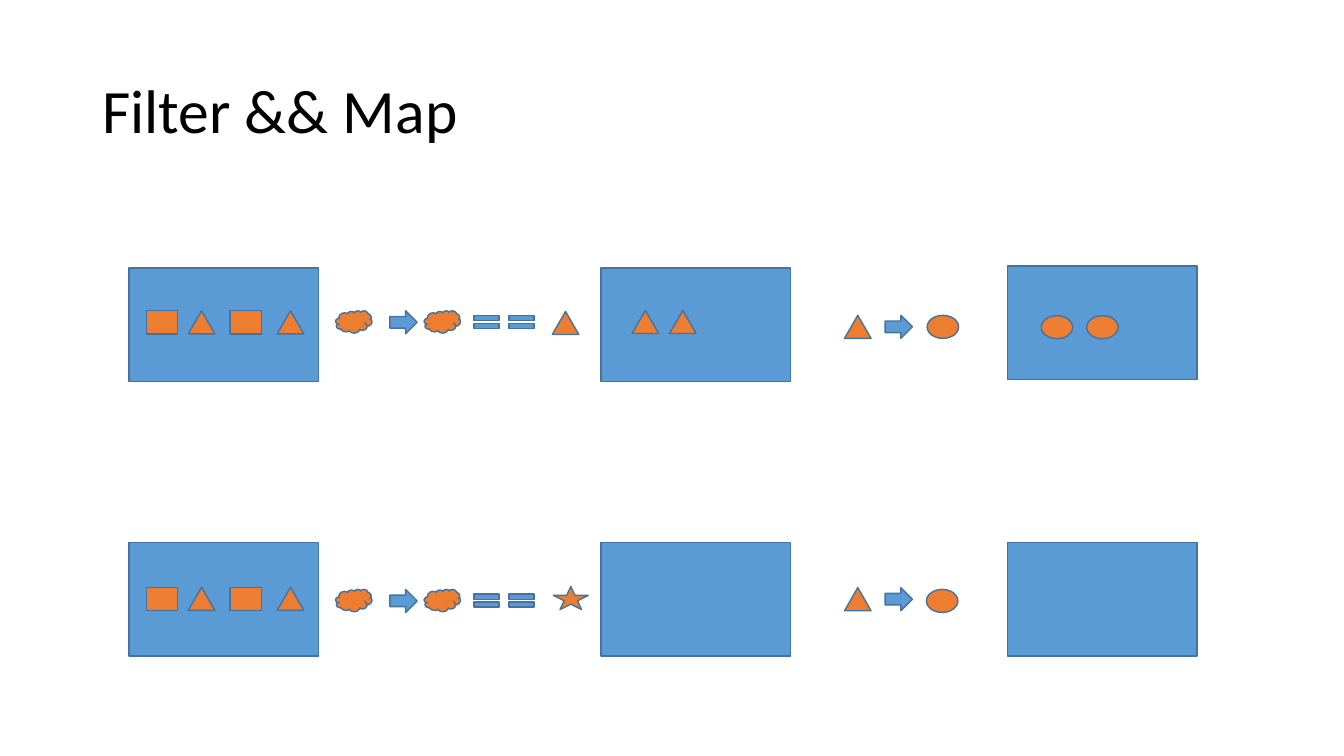
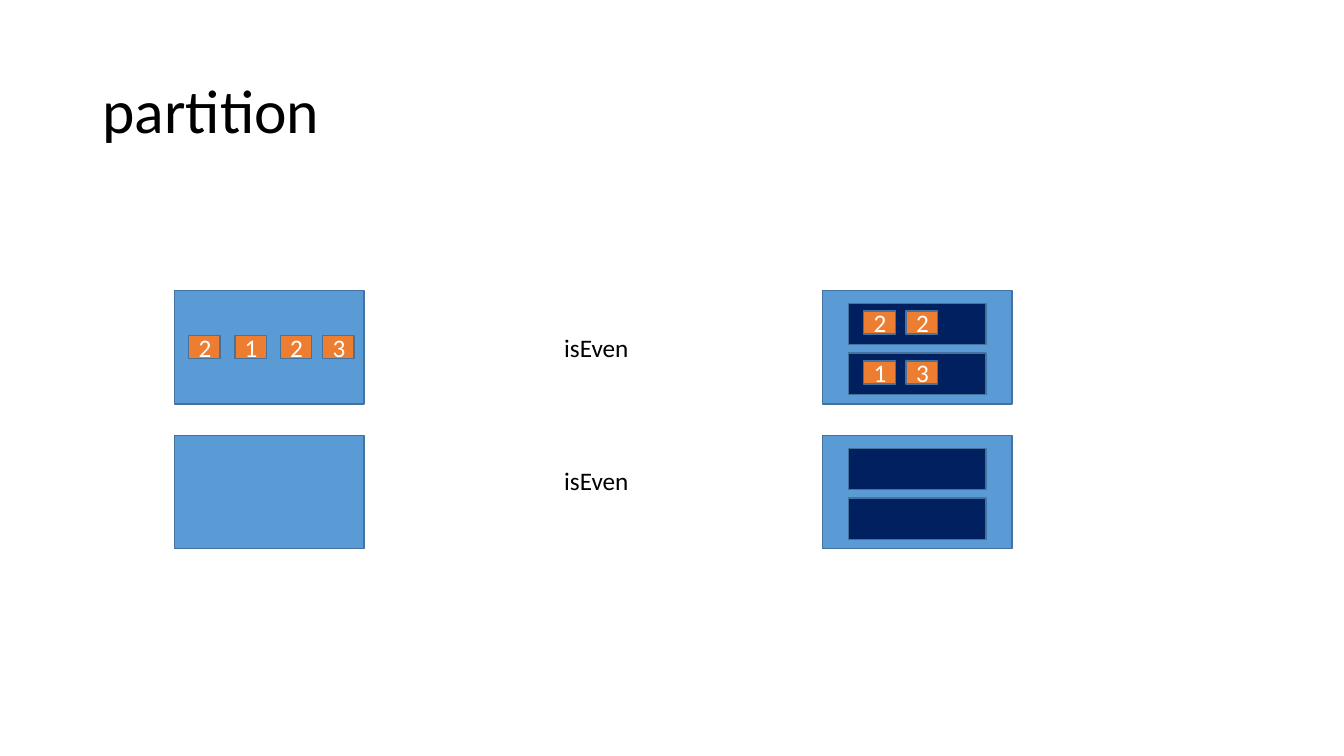
"""Build two slides that picture filter, map and partition on collections."""
import dataclasses

import pptx
import pptx.dml.color
import pptx.enum.shapes
import pptx.enum.text
import pptx.util

Pt = pptx.util.Pt
MSO = pptx.enum.shapes.MSO_SHAPE


def rgb(value):
    return pptx.dml.color.RGBColor.from_string(value)


@dataclasses.dataclass(frozen=True)
class Theme:
    font: str = "Calibri"
    title_size: float = 44
    text_size: float = 18
    black: str = "000000"
    white: str = "FFFFFF"
    box: str = "5B9BD5"
    item: str = "ED7D31"
    group: str = "002060"
    outline: str = "43739E"


THEME = Theme()
BOX = (135.5, 81)
GROUP = (98, 29.5)
TILE = (22.5, 16.5)
LABEL = (152, 75.5)

ICONS = {
    "square": (MSO.RECTANGLE, TILE, THEME.item),
    "triangle": (MSO.ISOSCELES_TRIANGLE, (19, 16.5), THEME.item),
    "ellipse": (MSO.OVAL, TILE, THEME.item),
    "cloud": (MSO.CLOUD, (26, 16), THEME.item),
    "star": (MSO.STAR_5_POINT, (25, 16.5), THEME.item),
    "arrow": (MSO.RIGHT_ARROW, (19.5, 16.5), THEME.box),
    "equal": (MSO.MATH_EQUAL, (24, 16), THEME.box),
}


def set_font(p, size, color):
    p.font.name = THEME.font
    p.font.size = Pt(size)
    p.font.color.rgb = rgb(color)


def add_slide(prs, title):
    s = prs.slides.add_slide(prs.slide_layouts.get_by_name("Title Only"))
    sp = s.shapes.title
    sp.left, sp.top, sp.width, sp.height = Pt(66), Pt(28.75), Pt(828), Pt(104.5)
    tf = sp.text_frame
    tf.text = title
    tf.vertical_anchor = pptx.enum.text.MSO_ANCHOR.MIDDLE
    p = tf.paragraphs[0]
    p.alignment = pptx.enum.text.PP_ALIGN.LEFT
    p.line_spacing = 0.9
    set_font(p, THEME.title_size, THEME.black)
    return s


def add_shape(s, kind, x, y, size, fill, line=THEME.outline, text="", color=THEME.white):
    sp = s.shapes.add_shape(kind, Pt(x), Pt(y), Pt(size[0]), Pt(size[1]))
    sp.shadow.inherit = False
    sp.fill.solid()
    sp.fill.fore_color.rgb = rgb(fill)
    if line:
        sp.line.color.rgb = rgb(line)
        sp.line.width = Pt(1)
    else:
        sp.line.fill.background()
    if text:
        tf = sp.text_frame
        tf.text = text
        tf.vertical_anchor = pptx.enum.text.MSO_ANCHOR.MIDDLE
        p = tf.paragraphs[0]
        p.alignment = pptx.enum.text.PP_ALIGN.CENTER
        set_font(p, THEME.text_size, color)


def add_box(s, x, y):
    add_shape(s, MSO.RECTANGLE, x, y, BOX, THEME.box)


def add_icons(s, y, *icons):
    for name, x in icons:
        kind, size, fill = ICONS[name]
        add_shape(s, kind, x, y, size, fill)


def add_tiles(s, y, digits, lefts):
    for digit, x in zip(digits, lefts):
        add_shape(s, MSO.RECTANGLE, x, y, TILE, THEME.item, text=digit)


def add_label(s, y, text):
    add_shape(s, MSO.RECTANGLE, 350, y, LABEL, THEME.white, None, text, THEME.black)


def add_partition(s, y, groups):
    add_box(s, 587.5, y)
    for i, digits in enumerate(groups):
        top = y + 9.25 + 35.5 * i
        add_shape(s, MSO.RECTANGLE, 606.25, top, GROUP, THEME.group)
        add_tiles(s, top + 5.5, digits, (617, 647.25))


def add_source(s, box_y, item_y):
    add_box(s, 92.25, box_y)
    add_icons(s, item_y, ("square", 104.5), ("triangle", 134.5),
              ("square", 164.25), ("triangle", 198))


def add_predicate(s, y):
    add_icons(s, y, ("cloud", 239.75), ("arrow", 278.5), ("cloud", 303),
              ("equal", 335.5), ("equal", 360.5))


def build_filter_map(prs):
    s = add_slide(prs, "Filter && Map")
    add_source(s, 191.5, 222)
    add_predicate(s, 222)
    add_icons(s, 222.5, ("triangle", 394.5))
    add_box(s, 429.25, 191.5)
    add_icons(s, 221.75, ("triangle", 451.5), ("triangle", 478.25))
    add_icons(s, 225.25, ("triangle", 603.25), ("arrow", 632.25), ("ellipse", 662.25))
    add_box(s, 719.5, 190)
    add_icons(s, 225.5, ("ellipse", 743.75), ("ellipse", 776.25))

    add_source(s, 387.5, 419.5)
    add_predicate(s, 421)
    add_icons(s, 419, ("star", 395.25))
    add_box(s, 429.25, 387.5)
    add_icons(s, 419.75, ("triangle", 603.25), ("arrow", 632.25))
    add_icons(s, 421, ("ellipse", 661.75))
    add_box(s, 719.5, 387.5)


def build_partition(prs):
    s = add_slide(prs, "partition")
    rows = ((207.5, 210.25, "2123", ("22", "13")), (311, 305.25, "", ("", "")))
    for y, label_y, digits, groups in rows:
        add_box(s, 124.5, y)
        add_tiles(s, y + 32.25, digits, (134.75, 167.75, 200.25, 230.5))
        add_label(s, label_y, "isEven")
        add_partition(s, y, groups)


def main():
    prs = pptx.Presentation()
    prs.slide_width, prs.slide_height = Pt(960), Pt(540)
    build_filter_map(prs)
    build_partition(prs)
    prs.save("out.pptx")


if __name__ == "__main__":
    main()
